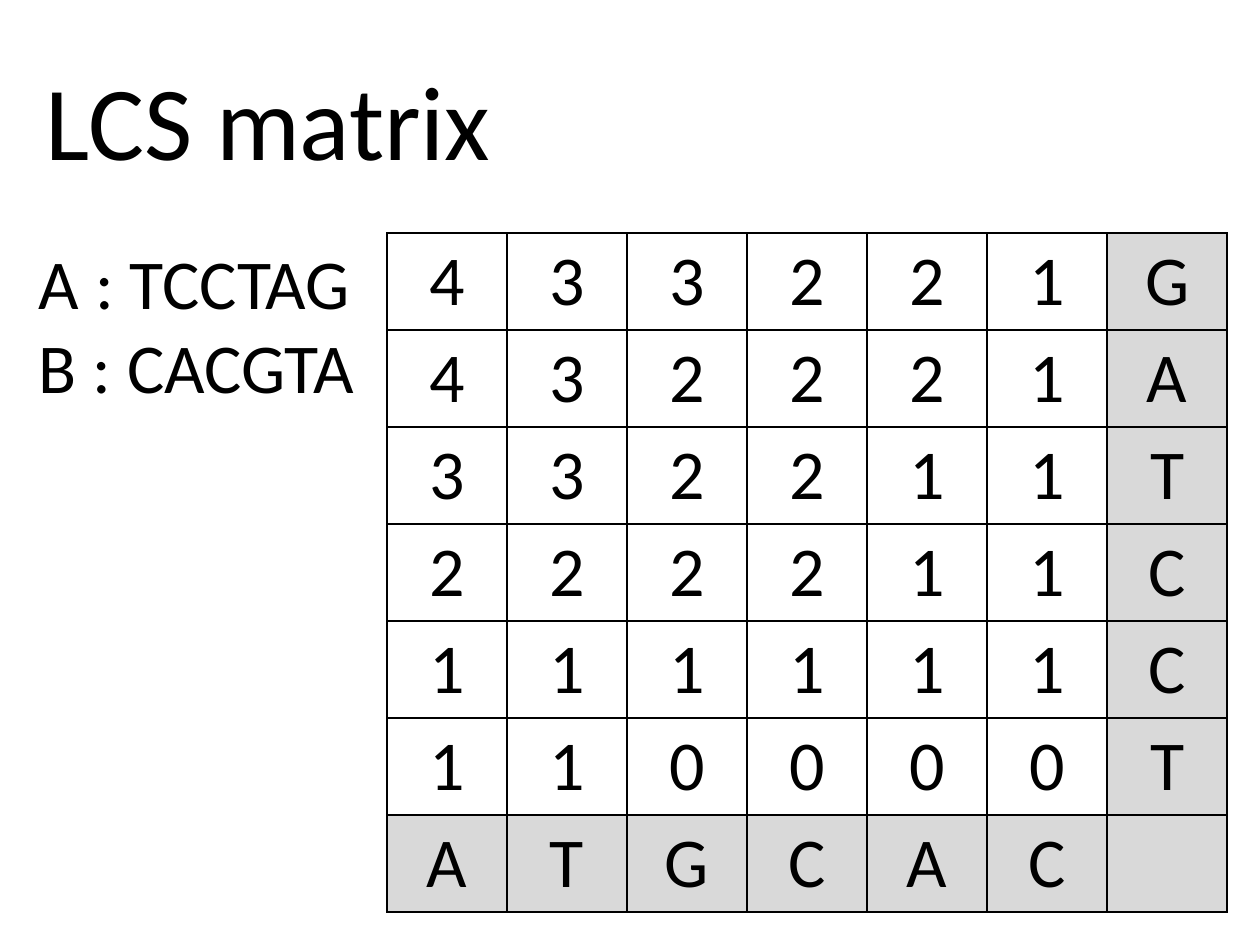
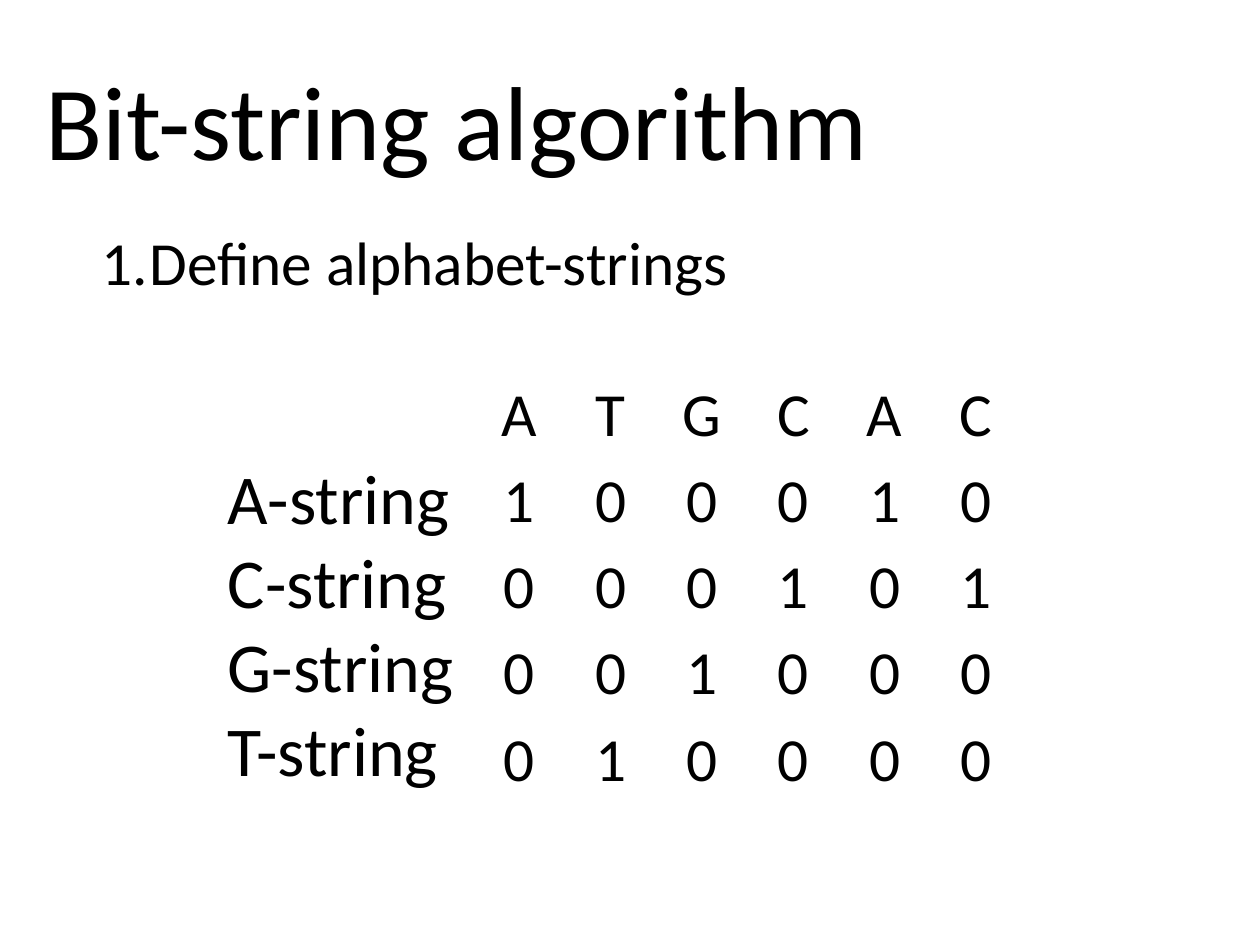
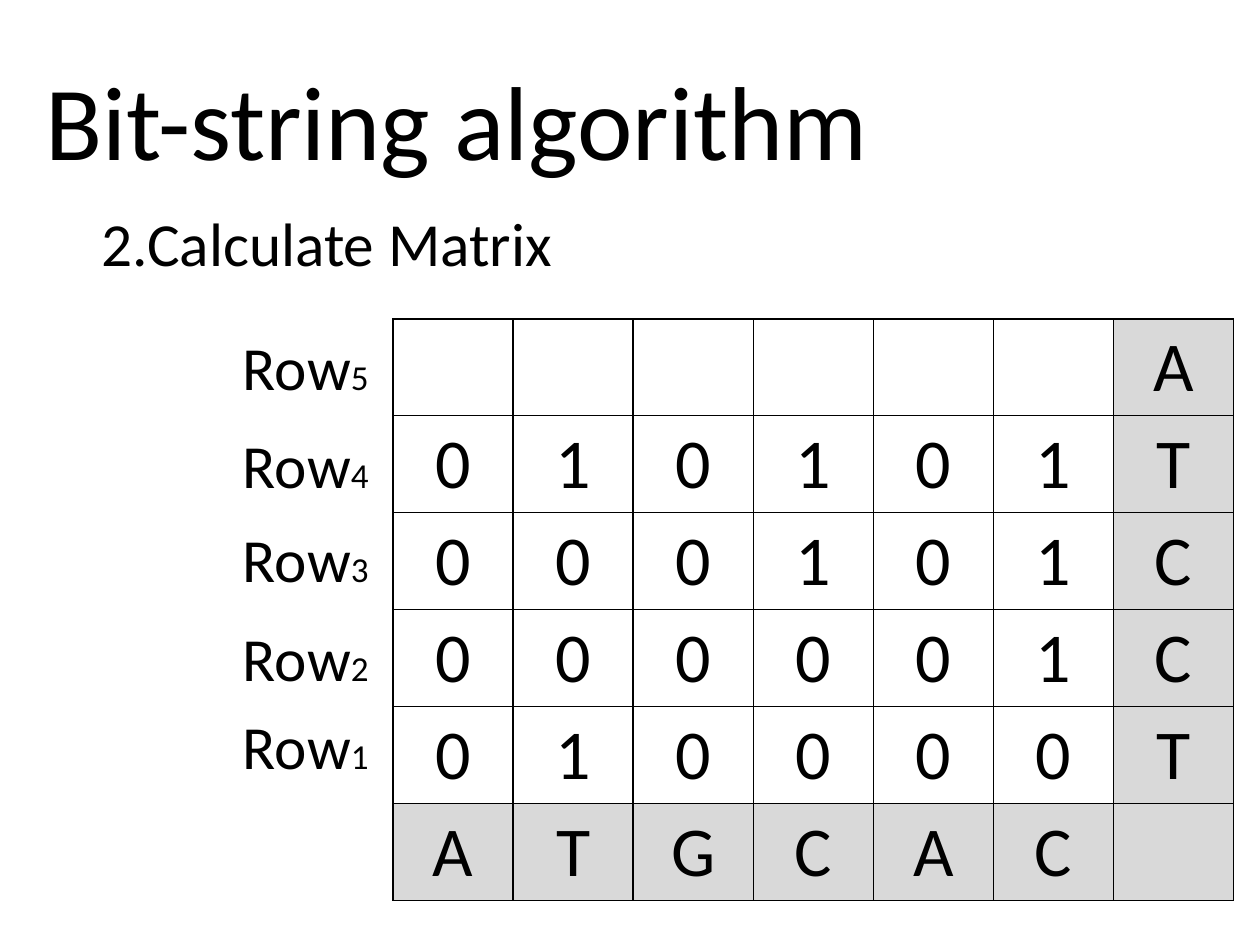
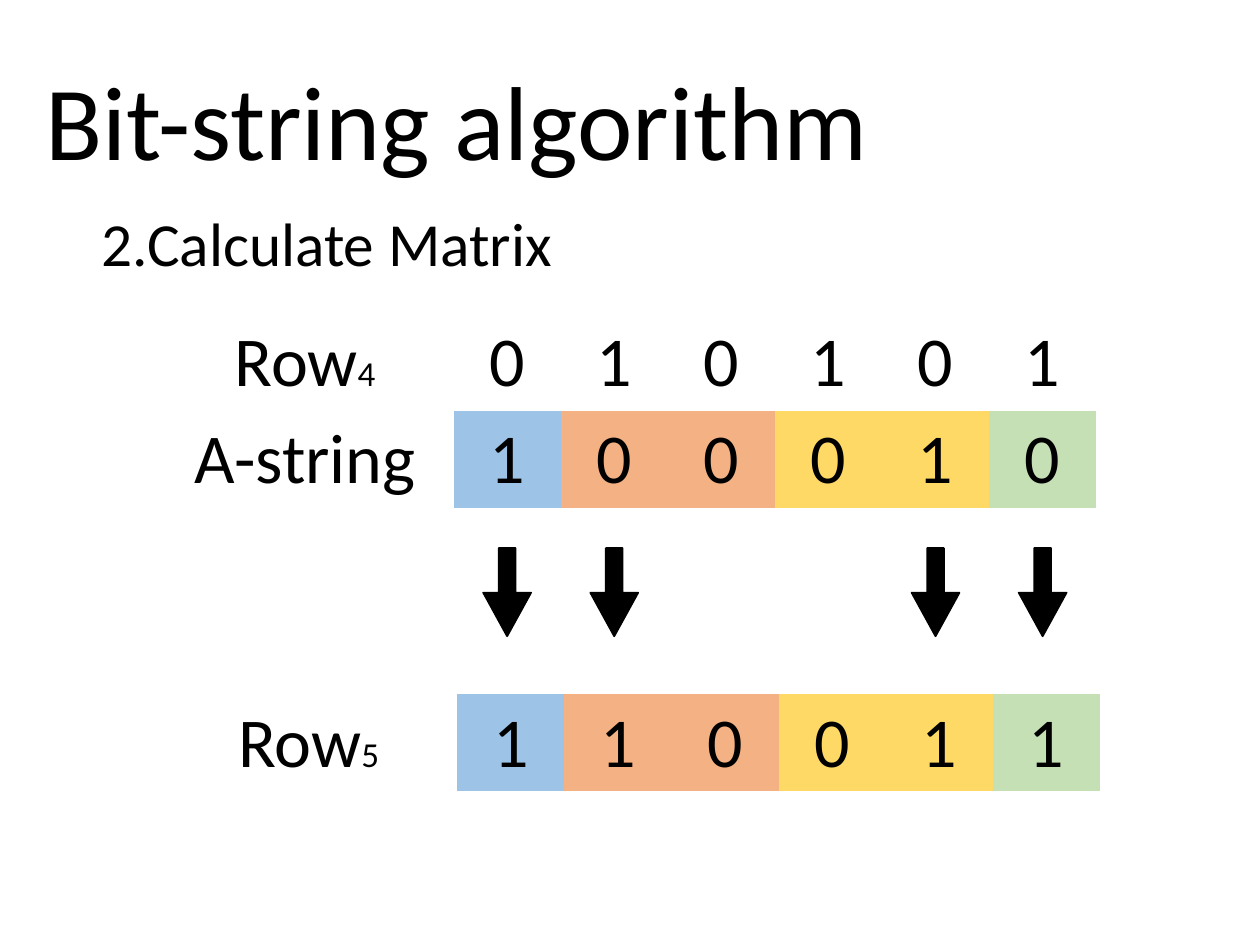
"""Build four slides on the LCS matrix and the bit-string algorithm."""
import dataclasses

import lxml.etree
import pptx
import pptx.dml.color
import pptx.enum.shapes
import pptx.enum.text
import pptx.oxml.ns
import pptx.util

Inches = pptx.util.Inches
Pt = pptx.util.Pt
qn = pptx.oxml.ns.qn


@dataclasses.dataclass(frozen=True)
class Theme:
    font: str = "Calibri"
    ink: str = "000000"
    header: str = "D9D9D9"
    blue: str = "9DC3E6"
    orange: str = "F4B183"
    yellow: str = "FFD966"
    green: str = "C5E0B4"
    title: int = 60
    large: int = 40
    body: int = 35
    index: int = 20


THEME = Theme()
NO_GRID_STYLE = "{2D5ABB26-0587-4C30-8999-92F81FD0307C}"
BIT_TITLE = "Bit-string algorithm"
STEP_TWO = "2.Calculate Matrix"
SEQUENCES = ["A : TCCTAG", "B : CACGTA"]
LCS_MATRIX = ["433221G", "432221A", "332211T", "222211C", "111111C", "110000T", "ATGCAC "]
ALPHABET_STRINGS = ["ATGCAC", "100010", "000101", "001000", "010000"]
STRING_NAMES = ["A-string", "C-string", "G-string", "T-string"]
BIT_MATRIX = [6 * " " + "A", "010101T", "000101C", "000001C", "010000T", "ATGCAC "]
ROW_LABELS = [("5", 2.56), ("4", 3.34), ("3", 4.09), ("2", 4.87), ("1", 5.57)]
BLOCK_FILLS = [None, THEME.blue, THEME.orange, THEME.orange, THEME.yellow, THEME.yellow, THEME.green]
STEP_INPUT = [[("Row", "4"), *"010101"], ["A-string", *"100010"]]
STEP_RESULT = [[("Row", "5"), *"110011"]]
ARROW_COLUMNS = [0, 1, 4, 5]
LABEL_WIDTH, BIT_WIDTH = 2.36, 0.85
STEP_LEFT = 1.24
ROW_HEIGHT = 0.77


def color(code):
    return pptx.dml.color.RGBColor.from_string(code)


def write(para, text, size):
    """Add a string, or a (word, index) pair whose index is small, to a paragraph."""
    parts = (text,) if isinstance(text, str) else text
    for part, points in zip(parts, (size, THEME.index)):
        span = para.add_run()
        span.text = part
        span.font.name = THEME.font
        span.font.size = Pt(points)
        span.font.color.rgb = color(THEME.ink)


def add_text(page, place, lines, size):
    """Add a text box with one paragraph per line and return its frame."""
    box = page.shapes.add_textbox(*map(Inches, place))
    frame = box.text_frame
    frame.word_wrap = True
    for number, line in enumerate(lines):
        para = frame.add_paragraph() if number else frame.paragraphs[0]
        write(para, line, size)
    return frame


def add_page(deck, title, width):
    """Add a blank slide with the shared title."""
    page = deck.slides.add_slide(deck.slide_layouts[6])
    frame = add_text(page, (0.26, 0.28, width, 1.45), [title], THEME.title)
    frame.vertical_anchor = pptx.enum.text.MSO_ANCHOR.MIDDLE
    frame.paragraphs[0].line_spacing = 0.9
    return page


def number_paragraph(para):
    """Give a paragraph an automatic number and a hanging indent."""
    properties = para._p.get_or_add_pPr()
    properties.set("marL", str(Inches(0.38)))
    properties.set("indent", str(-Inches(0.38)))
    lxml.etree.SubElement(properties, qn("a:buFont"), typeface=THEME.font)
    lxml.etree.SubElement(properties, qn("a:buAutoNum"), type="arabicPeriod")


def add_borders(cell):
    """Draw a one-point line on each side of a cell."""
    properties = cell._tc.get_or_add_tcPr()
    for position, side in enumerate(("lnL", "lnR", "lnT", "lnB")):
        line = lxml.etree.Element(qn(f"a:{side}"), w=str(Pt(1)))
        fill = lxml.etree.SubElement(line, qn("a:solidFill"))
        lxml.etree.SubElement(fill, qn("a:srgbClr"), val=THEME.ink)
        properties.insert(position, line)


def add_grid(page, left, top, widths, height, rows, size, fill_at, bordered=False):
    """Add a table of centred cells, filled as fill_at(row, column) says."""
    frame = page.shapes.add_table(
        len(rows), len(widths), Inches(left), Inches(top),
        Inches(sum(widths)), Inches(height * len(rows)))
    table = frame.table
    table.first_row = table.horz_banding = False
    table._tbl.tblPr.find(qn("a:tableStyleId")).text = NO_GRID_STYLE
    for column, width in zip(table.columns, widths):
        column.width = Inches(width)
    for r, values in enumerate(rows):
        table.rows[r].height = Inches(height)
        for c, value in enumerate(values):
            cell = table.cell(r, c)
            para = cell.text_frame.paragraphs[0]
            para.alignment = pptx.enum.text.PP_ALIGN.CENTER
            if value != " ":
                write(para, value, size)
            fill = fill_at(r, c)
            if fill:
                cell.fill.solid()
                cell.fill.fore_color.rgb = color(fill)
            else:
                cell.fill.background()
            if bordered:
                add_borders(cell)


def add_matrix(page, left, top, rows):
    """Add a bordered matrix with grey letters on its right and lower edges."""
    last_row, last_column = len(rows) - 1, len(rows[0]) - 1
    add_grid(page, left, top, [6.67 / 7] * 7, ROW_HEIGHT, rows, THEME.large,
             lambda r, c: THEME.header if r == last_row or c == last_column else None,
             bordered=True)


def add_step(page, left, top, rows):
    """Add labelled bit rows whose last row shows the coloured blocks."""
    add_grid(page, left, top, [LABEL_WIDTH] + [BIT_WIDTH] * 6, ROW_HEIGHT, rows, THEME.large,
             lambda r, c: BLOCK_FILLS[c] if r == len(rows) - 1 else None)


def add_arrow(page, column):
    """Add a black down arrow centred under a bit column."""
    width = 0.38
    left = STEP_LEFT + LABEL_WIDTH + BIT_WIDTH * (column + 0.5) - width / 2
    arrow = page.shapes.add_shape(
        pptx.enum.shapes.MSO_SHAPE.DOWN_ARROW,
        Inches(left), Inches(4.35), Inches(width), Inches(0.7))
    arrow.shadow.inherit = False
    arrow.adjustments[0] = 0.35
    arrow.adjustments[1] = 0.91
    arrow.fill.solid()
    arrow.fill.fore_color.rgb = color(THEME.ink)
    arrow.line.color.rgb = color(THEME.ink)
    arrow.line.width = Pt(1)


def build_lcs(deck):
    page = add_page(deck, "LCS matrix", 8.62)
    add_matrix(page, 3.07, 1.85, LCS_MATRIX)
    add_text(page, (0.21, 1.85, 2.74, 1.45), SEQUENCES, THEME.large)


def build_alphabet(deck):
    page = add_page(deck, BIT_TITLE, 6.78)
    frame = add_text(page, (0.71, 1.73, 5.22, 0.69), ["Define alphabet-strings"], THEME.body)
    number_paragraph(frame.paragraphs[0])
    add_grid(page, 3.76, 2.95, [4.35 / 6] * 6, 3.42 / 5, ALPHABET_STRINGS, THEME.body,
             lambda r, c: None)
    add_text(page, (1.71, 3.56, 2.22, 2.79), STRING_NAMES, THEME.large)


def build_matrix(deck):
    page = add_page(deck, BIT_TITLE, 6.78)
    add_text(page, (0.71, 1.58, 8, 0.69), [STEP_TWO], THEME.body)
    add_matrix(page, 3.12, 2.53, BIT_MATRIX)
    for index, top in ROW_LABELS:
        add_text(page, (1.83, top, 1.25, 0.69), [("Row", index)], THEME.body)


def build_step(deck):
    page = add_page(deck, BIT_TITLE, 6.78)
    add_text(page, (0.71, 1.58, 8, 0.69), [STEP_TWO], THEME.body)
    for column in ARROW_COLUMNS:
        add_arrow(page, column)
    add_step(page, STEP_LEFT, 2.49, STEP_INPUT)
    add_step(page, 1.27, 5.51, STEP_RESULT)


def main():
    deck = pptx.Presentation()
    deck.slide_width, deck.slide_height = Inches(10), Inches(7.5)
    for build in (build_lcs, build_alphabet, build_matrix, build_step):
        build(deck)
    deck.save("out.pptx")


if __name__ == "__main__":
    main()
